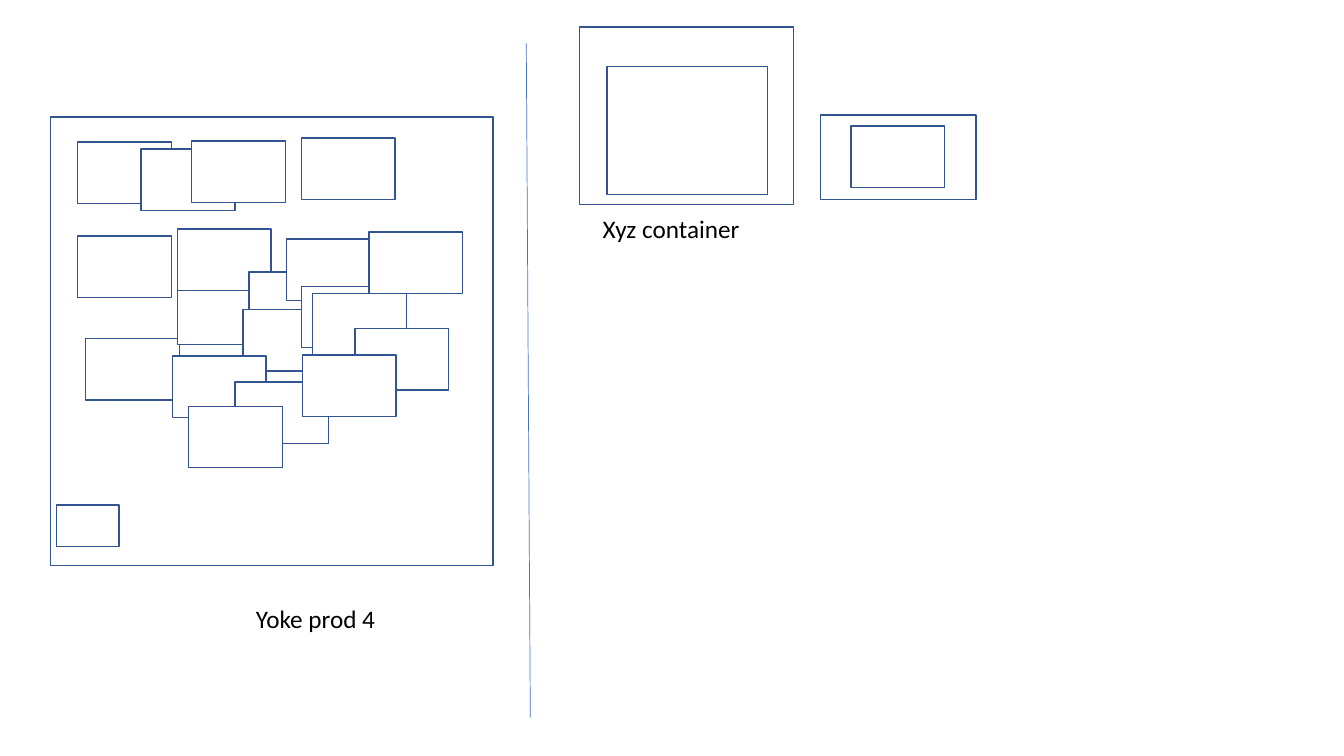
import dataclasses

import pptx
import pptx.dml.color
import pptx.enum.shapes
import pptx.enum.text
import pptx.oxml
import pptx.util

Inches = pptx.util.Inches


@dataclasses.dataclass(frozen=True)
class Theme:
    font: str = "Calibri"
    label_size: int = 18
    ink: str = "000000"
    paper: str = "FFFFFF"
    outline: str = "325491"
    divider: str = "4472C4"
    outline_width: float = 1
    divider_width: float = 0.5


def color(value):
    return pptx.dml.color.RGBColor.from_string(value)


def write_text(box, text, *, font, size, ink):
    span = box.text_frame.paragraphs[0].add_run()
    span.text = text
    span.font.name = font
    span.font.size = pptx.util.Pt(size)
    span.font.color.rgb = color(ink)


class Painter:
    def __init__(self, page, theme):
        self.page = page
        self.theme = theme

    def frame(self, left, top, width, height):
        box = self.page.shapes.add_shape(
            pptx.enum.shapes.MSO_SHAPE.RECTANGLE,
            Inches(left), Inches(top), Inches(width), Inches(height))
        box.shadow.inherit = False
        box.fill.solid()
        box.fill.fore_color.rgb = color(self.theme.paper)
        box.line.color.rgb = color(self.theme.outline)
        box.line.width = pptx.util.Pt(self.theme.outline_width)

    def label(self, text, left, top, width, height):
        box = self.page.shapes.add_textbox(
            Inches(left), Inches(top), Inches(width), Inches(height))
        box.text_frame.word_wrap = False
        box.text_frame.auto_size = pptx.enum.text.MSO_AUTO_SIZE.SHAPE_TO_FIT_TEXT
        write_text(box, text, font=self.theme.font,
                   size=self.theme.label_size, ink=self.theme.ink)

    def divider(self, start, end):
        line = self.page.shapes.add_connector(
            pptx.enum.shapes.MSO_CONNECTOR.STRAIGHT,
            *(Inches(value) for value in (*start, *end)))
        line.line.color.rgb = color(self.theme.divider)
        line.line.width = pptx.util.Pt(self.theme.divider_width)
        properties = line._element.spPr
        properties.append(pptx.oxml.parse_xml(
            '<a:effectLst xmlns:a='
            '"http://schemas.openxmlformats.org/drawingml/2006/main"/>'))


APP_SIZE = (0.93, 0.61)
APPS = [
    (0.77, 1.41), (0.77, 2.34), (0.85, 3.36), (1.76, 2.81), (1.76, 2.27),
    (1.4, 1.48), (1.9, 1.4), (2.47, 2.7), (2.84, 2.37), (2.41, 3.07),
    (1.71, 3.53), (2.33, 3.79), (1.87, 4.03), (2.99, 2.84), (2.99, 1.37),
    (3.66, 2.3), (3.1, 2.91), (3.52, 3.26), (3, 3.52),
]

deck = pptx.Presentation()
deck.slide_width = Inches(13.33)
deck.slide_height = Inches(7.5)
page = deck.slides.add_slide(deck.slide_layouts[6])
painter = Painter(page, Theme())

painter.frame(0.5, 1.16, 4.39, 4.45)
painter.label("Yoke prod 4", 2.44, 5.94, 1.46, 0.4)
for app in APPS:
    painter.frame(*app, *APP_SIZE)
painter.frame(0.56, 5.01, 0.62, 0.41)

painter.frame(5.75, 0.27, 2.12, 1.76)
painter.frame(6.02, 0.66, 1.59, 1.27)
painter.label("Xyz container", 5.88, 2.07, 1.57, 0.4)
painter.frame(8.14, 1.14, 1.54, 0.84)
painter.frame(8.44, 1.25, *APP_SIZE)

painter.divider((5.22, 0.43), (5.26, 7.12))

deck.save("out.pptx")
